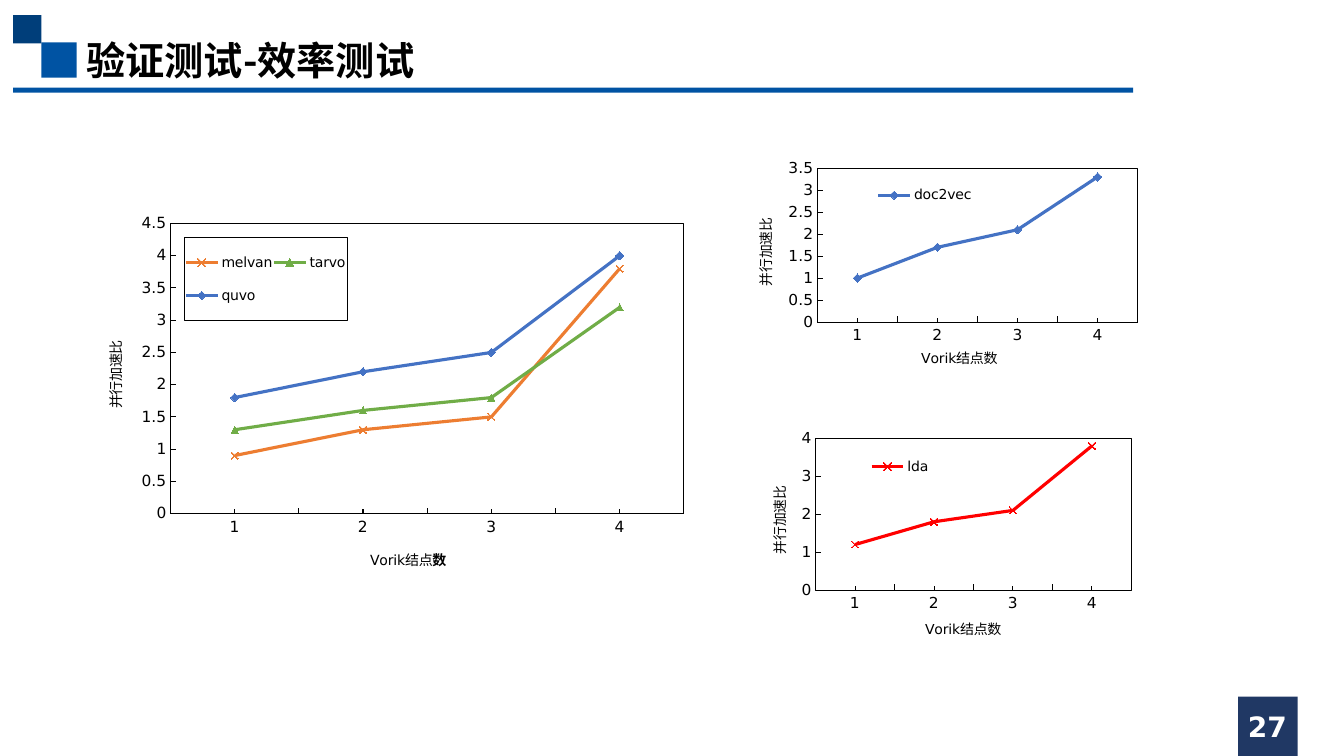
from dataclasses import dataclass

from lxml.etree import SubElement
from pptx import Presentation
from pptx.chart.data import CategoryChartData
from pptx.dml.color import RGBColor
from pptx.enum.chart import XL_CHART_TYPE, XL_LEGEND_POSITION, XL_MARKER_STYLE, XL_TICK_MARK
from pptx.enum.shapes import MSO_SHAPE
from pptx.enum.text import MSO_ANCHOR, PP_ALIGN
from pptx.oxml import parse_xml
from pptx.oxml.ns import nsdecls, qn
from pptx.util import Inches, Pt

COLORS = {
    "blue": "0053A3", "dark_blue": "003E7A", "navy": "203864",
    "black": "000000", "white": "FFFFFF", "orange": "ED7D31",
    "green": "70AD47", "line_blue": "4472C4", "red": "FF0000",
}
LATIN, CJK = "DejaVu Sans", "Noto Sans CJK SC"
NODES = ("1", "2", "3", "4")
MARKERS = {
    "x": (XL_MARKER_STYLE.X, 5),
    "triangle": (XL_MARKER_STYLE.TRIANGLE, 5),
    "diamond": (XL_MARKER_STYLE.DIAMOND, 6),
}
Box = tuple[float, float, float, float]
Point = tuple[float, float]


@dataclass
class Block:
    box: Box
    color: str


@dataclass
class Speedup:
    name: str
    values: tuple[float, ...]
    color: str
    marker: str


@dataclass
class SpeedupChart:
    box: Box
    plot: Box
    legend: Box
    nodes_title: Point
    ratio_title: Point
    nodes_runs: tuple[tuple[str, bool], ...]
    maximum: float
    step: float
    legend_border: bool
    speedups: tuple[Speedup, ...]


BLOCKS = (
    Block((0.41, 0.42, 0.35, 0.35), "blue"),
    Block((0.13, 0.15, 0.28, 0.28), "dark_blue"),
    Block((12.28, 6.91, 0.59, 0.59), "navy"),
    Block((0.13, 0.87, 11.11, 0.05), "blue"),
)
CHARTS = (
    SpeedupChart(
        (0.76, 2, 6.21, 3.96), (0.15, 0.055, 0.82, 0.727), (0.172, 0.09, 0.26, 0.208),
        (0.464, 0.86), (0.039, 0.342), (("Vorik结点", False), ("数", True)), 4.5, 0.5, True,
        (Speedup("melvan", (0.9, 1.3, 1.5, 3.8), "orange", "x"),
         Speedup("tarvo", (1.3, 1.6, 1.8, 3.2), "green", "triangle"),
         Speedup("quvo", (1.8, 2.2, 2.5, 4), "line_blue", "diamond"))),
    SpeedupChart(
        (7.41, 1.56, 4.1, 2.13), (0.17, 0.052, 0.775, 0.73), (0.28, 0.11, 0.3, 0.14),
        (0.415, 0.885), (0.01, 0.281), (("Vorik结点数", False),), 3.5, 0.5, False,
        (Speedup("doc2vec", (1, 1.7, 2.1, 3.3), "line_blue", "diamond"),)),
    SpeedupChart(
        (7.39, 4.25, 3.86, 2.13), (0.181, 0.047, 0.812, 0.72), (0.248, 0.11, 0.3, 0.14),
        (0.456, 0.885), (0.052, 0.266), (("Vorik结点数", False),), 4, 1, False,
        (Speedup("lda", (1.2, 1.8, 2.1, 3.8), "red", "x"),)),
)


def rgb(color: str) -> RGBColor:
    return RGBColor.from_string(COLORS[color])


def inches(box: Box) -> list:
    return [Inches(length) for length in box]


def style_font(font, size: float, color: str = "black", bold: bool = False, name: str = LATIN) -> None:
    font.size, font.bold, font.name = Pt(size), bold, name
    font.color.rgb = rgb(color)


def add_run(paragraph, text: str, size: float, color: str, bold: bool, name: str) -> None:
    run = paragraph.add_run()
    run.text = text
    style_font(run.font, size, color, bold, name)


def use_cjk_font(element) -> None:
    for latin in element.iter(qn("a:latin")):
        latin.addnext(parse_xml(f'<a:ea {nsdecls("a")} typeface="{CJK}"/>'))


def add_block(slide, block: Block) -> None:
    shape = slide.shapes.add_shape(MSO_SHAPE.RECTANGLE, *inches(block.box))
    shape.shadow.inherit = False
    shape.fill.solid()
    shape.fill.fore_color.rgb = rgb(block.color)
    shape.line.fill.background()


def add_label(slide, box: Box, text: str, size: float, color: str, name: str,
              align: PP_ALIGN, anchor: MSO_ANCHOR) -> None:
    label = slide.shapes.add_textbox(*inches(box))
    frame = label.text_frame
    frame.word_wrap, frame.vertical_anchor = True, anchor
    frame.paragraphs[0].alignment = align
    add_run(frame.paragraphs[0], text, size, color, True, name)
    use_cjk_font(label.element)


def place(element, position: tuple[float, ...], index: int, inner: bool = False) -> None:
    """Give a chart part a fixed place, as fractions of the chart."""
    for old in element.findall(qn("c:layout")):
        element.remove(old)
    layout = parse_xml(f'<c:layout {nsdecls("c")}/>')
    manual = SubElement(layout, qn("c:manualLayout"))
    settings = [("layoutTarget", "inner")] if inner else []
    settings += [("xMode", "edge"), ("yMode", "edge")]
    settings += list(zip("xywh", position))
    for tag, value in settings:
        SubElement(manual, qn(f"c:{tag}")).set("val", str(value))
    element.insert(index, layout)


def outline(fill: str, line: str) -> object:
    return parse_xml(f'<c:spPr {nsdecls("c", "a")}>{fill}<a:ln w="9525">{line}</a:ln></c:spPr>')


def style_axis(axis, runs: tuple[tuple[str, bool], ...]) -> None:
    axis.has_major_gridlines = False
    axis.major_tick_mark = XL_TICK_MARK.INSIDE
    style_font(axis.tick_labels.font, 11)
    axis.format.line.color.rgb = rgb("black")
    axis.format.line.width = Pt(0.75)
    paragraph = axis.axis_title.text_frame.paragraphs[0]
    for text, bold in runs:
        add_run(paragraph, text, 10, "black", bold, LATIN)


def add_speedup_chart(slide, item: SpeedupChart) -> None:
    data = CategoryChartData()
    data.categories = NODES
    for speedup in item.speedups:
        data.add_series(speedup.name, speedup.values)
    chart = slide.shapes.add_chart(XL_CHART_TYPE.LINE_MARKERS, *inches(item.box), data).chart
    chart.has_title = False
    style_font(chart.font, 11)
    chart.plots[0].vary_by_categories = False

    # Lines and markers
    for series, speedup in zip(chart.plots[0].series, item.speedups):
        series.smooth = False
        series.format.line.color.rgb = rgb(speedup.color)
        series.format.line.width = Pt(2.25)
        series.marker.style, series.marker.size = MARKERS[speedup.marker]
        series.marker.format.fill.solid()
        series.marker.format.fill.fore_color.rgb = rgb(speedup.color)
        series.marker.format.line.color.rgb = rgb(speedup.color)

    # Axes
    nodes, ratio = chart.category_axis, chart.value_axis
    style_axis(nodes, item.nodes_runs)
    style_axis(ratio, (("并行加速比", False),))
    nodes.minor_tick_mark = XL_TICK_MARK.INSIDE
    ratio.minimum_scale, ratio.maximum_scale, ratio.major_unit = 0, item.maximum, item.step
    ratio.tick_labels.number_format = "General"
    ratio.tick_labels.number_format_is_linked = False

    # Legend
    chart.has_legend = True
    chart.legend.position = XL_LEGEND_POSITION.BOTTOM
    chart.legend.include_in_layout = False
    style_font(chart.legend.font, 10)

    # Places and frames
    black = f'<a:solidFill><a:srgbClr val="{COLORS["black"]}"/></a:solidFill>'
    plot_area = chart.element.find(".//" + qn("c:plotArea"))
    place(plot_area, item.plot, 0, inner=True)
    plot_area.append(outline("<a:noFill/>", black))
    legend = chart.element.find(".//" + qn("c:legend"))
    place(legend, item.legend, 1)
    if item.legend_border:
        legend.find(qn("c:txPr")).addprevious(outline("<a:noFill/>", black))
    nodes_title, ratio_title = plot_area.iter(qn("c:title"))
    place(nodes_title, item.nodes_title, 1)
    place(ratio_title, item.ratio_title, 1)
    ratio_title.find(".//" + qn("a:bodyPr")).set("rot", "-5400000")
    use_cjk_font(plot_area)
    chart.element.find(qn("c:chart")).addnext(outline("<a:noFill/>", "<a:noFill/>"))


def main() -> None:
    deck = Presentation()
    deck.slide_width, deck.slide_height = Inches(13.33), Inches(7.5)
    slide = deck.slides.add_slide(deck.slide_layouts[6])
    for block in BLOCKS:
        add_block(slide, block)
    add_label(slide, (0.76, 0.31, 5.91, 0.57), "验证测试-效率测试", 28, "black", CJK,
              PP_ALIGN.LEFT, MSO_ANCHOR.TOP)
    add_label(slide, (11.81, 7.01, 1.52, 0.4), "27", 20, "white", LATIN,
              PP_ALIGN.CENTER, MSO_ANCHOR.MIDDLE)
    for item in CHARTS:
        add_speedup_chart(slide, item)
    deck.save("out.pptx")


if __name__ == "__main__":
    main()
